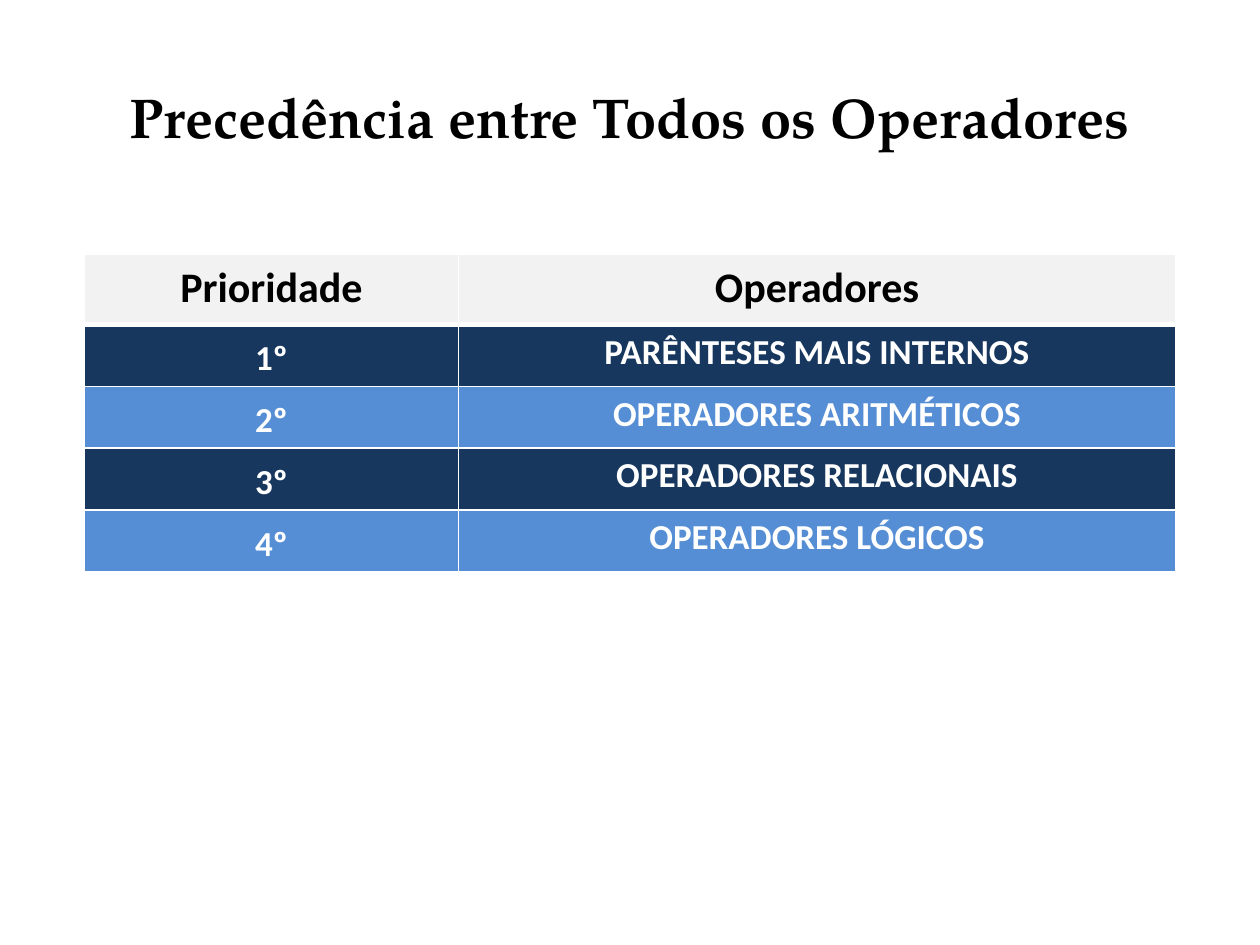
from pptx import Presentation
from pptx.dml.color import RGBColor
from pptx.enum.text import MSO_ANCHOR as Anchor, PP_ALIGN as Align
from pptx.oxml.ns import qn
from pptx.util import Inches, Pt
from lxml.etree import SubElement

COLORS = {
    "black": "000000",
    "white": "FFFFFF",
    "header": "F2F2F2",
    "navy": "17375E",
    "blue": "558ED5",
}
TITLE_FONT, TABLE_FONT = "TeX Gyre Pagella", "Calibri"
HEADINGS = ("Prioridade", "Operadores")
OPERATORS = (
    "PARÊNTESES MAIS INTERNOS",
    "OPERADORES ARITMÉTICOS",
    "OPERADORES RELACIONAIS",
    "OPERADORES LÓGICOS",
)


def write_text(frame, text, *, size, font, color, anchor=Anchor.TOP,
               line_spacing=None, space_after=None):
    """Write one bold, centred paragraph into a text frame or table cell."""
    frame.vertical_anchor = anchor
    text_frame = getattr(frame, "text_frame", frame)
    paragraph = text_frame.paragraphs[0]
    paragraph.alignment = Align.CENTER
    if line_spacing:
        paragraph.line_spacing = line_spacing
    if space_after:
        paragraph.space_after = Pt(space_after)
    run = paragraph.add_run()
    run.text = text
    run.font.size, run.font.name, run.font.bold = Pt(size), font, True
    run.font.color.rgb = RGBColor.from_string(COLORS[color])


def set_borders(cell, **widths):
    """Draw white borders, with the widths in points given by side."""
    properties = cell._tc.get_or_add_tcPr()
    for side in "LRTB":
        line = SubElement(properties, qn(f"a:ln{side}"),
                          w=str(Pt(widths.get(side, 1))))
        fill = SubElement(line, qn("a:solidFill"))
        SubElement(fill, qn("a:srgbClr"), val=COLORS["white"])


def fill_cell(cell, text, *, size, color, fill, anchor=Anchor.TOP, **borders):
    """Format one table cell and write its text."""
    cell.margin_left = cell.margin_right = Inches(0.07)
    cell.margin_top = cell.margin_bottom = 0
    set_borders(cell, **borders)
    cell.fill.solid()
    cell.fill.fore_color.rgb = RGBColor.from_string(COLORS[fill])
    write_text(cell, text, size=size, font=TABLE_FONT, color=color,
               anchor=anchor, line_spacing=1.15, space_after=10)


def add_title(slide, text, left, top, width, height):
    """Place the title placeholder in the given box."""
    title = slide.shapes.title
    title.left, title.top, title.width, title.height = left, top, width, height
    write_text(title.text_frame, text, size=32, font=TITLE_FONT,
               color="black", anchor=Anchor.MIDDLE)


def add_precedence_table(slide, left, top, width, height):
    """Place the table of operator priorities in the given box."""
    table = slide.shapes.add_table(
        len(OPERATORS) + 1, len(HEADINGS), left, top, width, height).table
    priority_width = round(width * 0.343)
    table.columns[0].width = priority_width
    table.columns[1].width = width - priority_width
    header_height = round(height * 0.22)
    for index, row in enumerate(table.rows):
        row.height = ((height - header_height) // len(OPERATORS)
                      if index else header_height)

    for column, heading in enumerate(HEADINGS):
        fill_cell(table.cell(0, column), heading, size=24, color="black",
                  fill="header", B=3)
    for row, operator in enumerate(OPERATORS, start=1):
        style = {"size": 20, "color": "white",
                 "fill": "navy" if row % 2 else "blue",
                 "T": 3 if row == 1 else 1}
        fill_cell(table.cell(row, 0), f"{row}º", anchor=Anchor.MIDDLE, **style)
        fill_cell(table.cell(row, 1), operator, **style)


def main():
    """Build and save the slide."""
    presentation = Presentation()
    presentation.slide_width = Inches(10)
    presentation.slide_height = Inches(7.5)
    slide = presentation.slides.add_slide(presentation.slide_layouts[5])
    add_title(slide, "Precedência entre Todos os Operadores",
              Inches(0.5), Inches(0.3), Inches(9), Inches(1.25))
    add_precedence_table(slide, Inches(0.67), Inches(2.02),
                         Inches(8.66), Inches(2.52))
    presentation.save("out.pptx")


main()
